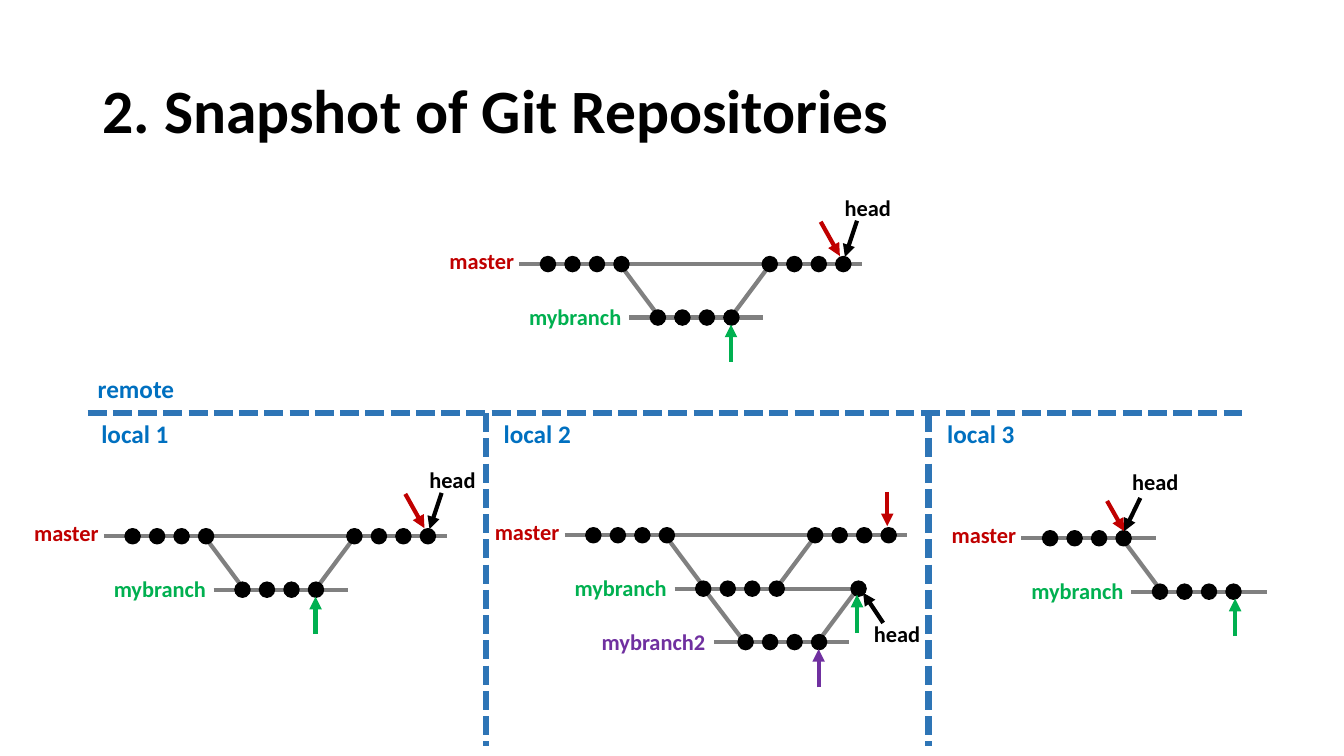
from dataclasses import dataclass

from pptx import Presentation
from pptx.dml.color import RGBColor
from pptx.enum.dml import MSO_LINE
from pptx.enum.shapes import MSO_CONNECTOR, MSO_SHAPE
from pptx.enum.text import MSO_ANCHOR, PP_ALIGN
from pptx.oxml.ns import qn
from pptx.util import Inches, Pt
from lxml import etree

STRAIGHT = MSO_CONNECTOR.STRAIGHT
OVAL = MSO_SHAPE.OVAL
SYS_DASH = MSO_LINE.SQUARE_DOT
MIDDLE, TOP = MSO_ANCHOR.MIDDLE, MSO_ANCHOR.TOP
LEFT, RIGHT = PP_ALIGN.LEFT, PP_ALIGN.RIGHT


@dataclass(frozen=True)
class Theme:
    font: str = "Calibri"
    black: str = "000000"
    gray: str = "808080"
    red: str = "C00000"
    green: str = "00B050"
    purple: str = "7030A0"
    divider: str = "2E75B6"
    area: str = "0070C0"
    title_size: float = 44
    area_size: float = 18
    label_size: float = 16
    divider_width: float = 4.5
    branch_width: float = 3


theme = Theme()


def add_line(shapes, start, end, color, width=theme.branch_width, dashed=False, arrow=False):
    line = shapes.add_connector(STRAIGHT, *[Inches(v) for v in (*start, *end)])
    line.line.color.rgb = RGBColor.from_string(color)
    line.line.width = Pt(width)
    if dashed:
        line.line.dash_style = SYS_DASH
    properties = line._element.spPr
    if arrow:
        etree.SubElement(properties.find(qn("a:ln")), qn("a:tailEnd"), type="triangle")
    etree.SubElement(properties, qn("a:effectLst"))


def add_text(shapes, text, place, color, size, align=LEFT, anchor=TOP):
    box = shapes.add_textbox(*[Inches(v) for v in place])
    box.text_frame.word_wrap = True
    box.text_frame.vertical_anchor = anchor
    para = box.text_frame.paragraphs[0]
    para.alignment = align
    span = para.add_run()
    span.text = text
    span.font.name = theme.font
    span.font.size = Pt(size)
    span.font.bold = True
    span.font.color.rgb = RGBColor.from_string(color)
    return para


deck = Presentation()
deck.slide_width, deck.slide_height = Inches(13.33), Inches(7.5)
page = deck.slides.add_slide(deck.slide_layouts[6])

# Title
title = add_text(page.shapes, "2. Snapshot of Git Repositories", (0.92, 0.4, 11.5, 1.45),
                 theme.black, theme.title_size, anchor=MIDDLE)
title.line_spacing = 0.9

# Dashed dividers between the remote and the three locals
for start, end in [((0.87, 4.1), (12.32, 4.1)),
                   ((4.82, 4.1), (4.82, 7.4)),
                   ((9.21, 4.1), (9.21, 7.4))]:
    add_line(page.shapes, start, end, theme.divider, theme.divider_width, dashed=True)

# Area names
for name, left, top, width, align in [("remote", 0.87, 3.65, 2.08, LEFT),
                                      ("local 1", 0.83, 4.1, 0.94, RIGHT),
                                      ("local 2", 4.82, 4.1, 0.94, RIGHT),
                                      ("local 3", 9.22, 4.1, 0.94, RIGHT)]:
    add_text(page.shapes, name, (left, top, width, 0.4), theme.area, theme.area_size, align)

# Commit graphs: all offsets are measured from the left end of the master line
DOT, DOT_STEP, ROW_STEP = 0.15, 0.243, 0.53
FIRST_DOT = 0.21      # from a line's left end to its first commit
MERGE_DOT = 2.41      # first master commit after a merge
MYBRANCH_START = 1.09
MYBRANCH2_START = 1.48

master_label = ("master", -0.79, -0.22, 1.06, theme.red)
mybranch_label = ("mybranch", 0, 0.34, 1.18, theme.green)
fork = ((0.96, -0.05), (1.43, 0.58))
merge = ((2.53, -0.05), (2.06, 0.58))
first_commits = [(FIRST_DOT, 0, 4), (MYBRANCH_START + FIRST_DOT, 1, 4)]  # left, row, count
merged_commits = first_commits + [(MERGE_DOT, 0, 4)]

# rows: (left, right) of each branch line, from master downwards
merged_graph = dict(
    rows=[(0, 3.4), (MYBRANCH_START, 2.42)],
    links=[fork, merge],
    commits=merged_commits,
    labels=[master_label, mybranch_label, ("head", 3.13, -0.74, 0.7, theme.black)],
    pointers=[((2.99, -0.42), (3.18, -0.08), theme.red),
              ((3.35, -0.43), (3.23, -0.07), theme.black),
              ((2.1, 0.97), (2.1, 0.6), theme.green)])

two_branch_graph = dict(
    rows=[(0, 3.4), (MYBRANCH_START, 2.89), (MYBRANCH2_START, 2.82)],
    links=[fork, merge, ((1.35, 0.49), (1.83, 1.12)), ((2.95, 0.47), (2.48, 1.1))],
    commits=merged_commits + [(MYBRANCH2_START + 0.24, 2, 4), (2.84, 1, 1)],
    labels=[master_label, mybranch_label,
            ("mybranch2", 0.27, 0.87, 1.27, theme.purple),
            ("head", 2.97, 0.79, 0.7, theme.black)],
    pointers=[((3.2, -0.43), (3.2, -0.09), theme.red),
              ((3.16, 0.87), (2.96, 0.57), theme.black),
              ((2.9, 0.97), (2.9, 0.59), theme.green),
              ((2.52, 1.51), (2.52, 1.13), theme.purple)])

unmerged_graph = dict(
    rows=[(0, 1.34), (MYBRANCH_START, 2.44)],
    links=[fork],
    commits=first_commits,
    labels=[master_label, mybranch_label, ("head", 1, -0.74, 1.06, theme.black)],
    pointers=[((0.85, -0.37), (1.02, -0.07), theme.red),
              ((1.18, -0.4), (1.02, -0.07), theme.black),
              ((2.12, 0.97), (2.12, 0.6), theme.green)])

for x, y, graph in [(5.15, 2.62, merged_graph), (1.03, 5.32, merged_graph),
                    (5.6, 5.31, two_branch_graph), (10.13, 5.34, unmerged_graph)]:
    shapes = page.shapes.add_group_shape().shapes

    # Branch lines and the links between them
    rows = [((left, row * ROW_STEP), (right, row * ROW_STEP))
            for row, (left, right) in enumerate(graph["rows"])]
    for start, end in graph["links"] + rows:
        add_line(shapes, (x + start[0], y + start[1]), (x + end[0], y + end[1]), theme.gray)

    # Commits
    for left, row, count in graph["commits"]:
        for index in range(count):
            commit = shapes.add_shape(OVAL, Inches(x + left + index * DOT_STEP),
                                      Inches(y + row * ROW_STEP - DOT / 2),
                                      Inches(DOT), Inches(DOT))
            commit.shadow.inherit = False
            commit.fill.solid()
            commit.fill.fore_color.rgb = RGBColor.from_string(theme.black)
            commit.line.color.rgb = RGBColor.from_string(theme.black)
            commit.line.width = Pt(1)

    # Branch and head pointers with their names
    for start, end, color in graph["pointers"]:
        add_line(shapes, (x + start[0], y + start[1]), (x + end[0], y + end[1]), color, arrow=True)
    for name, left, top, width, color in graph["labels"]:
        add_text(shapes, name, (x + left, y + top, width, 0.37), color, theme.label_size)

deck.save("out.pptx")
